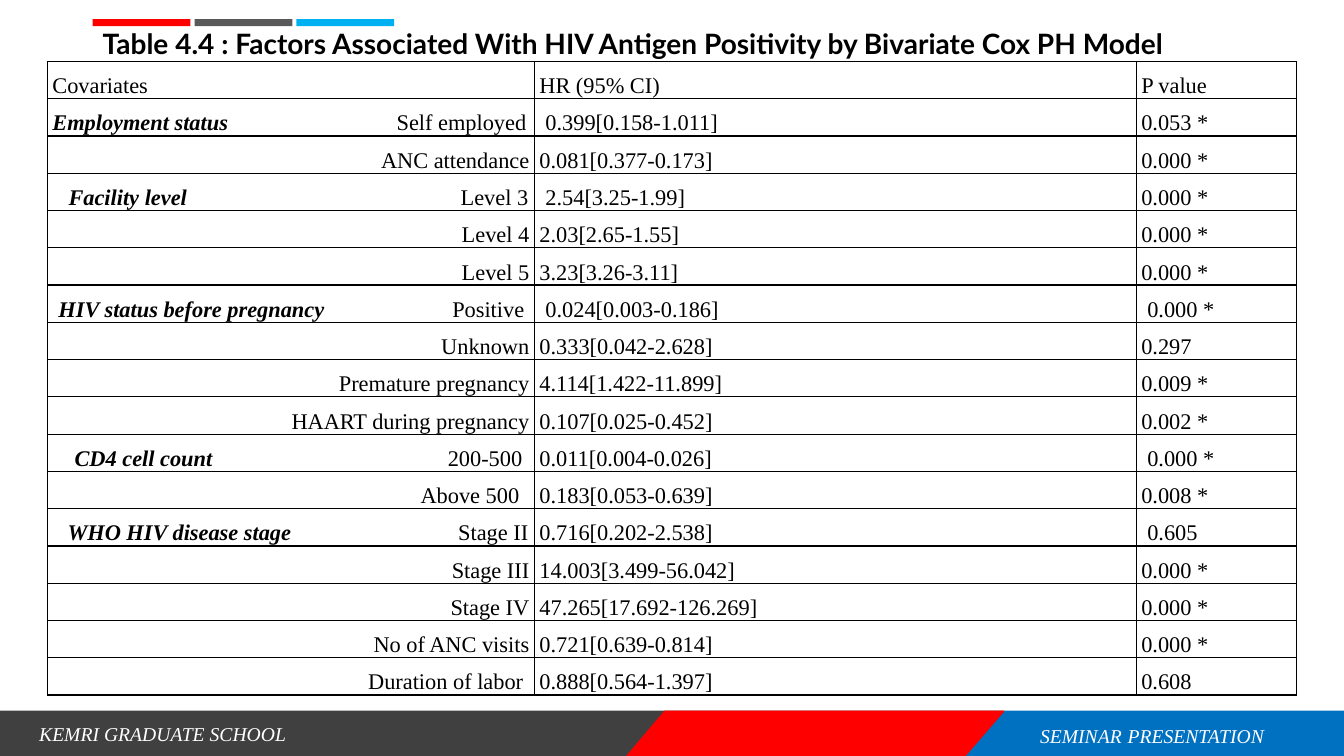
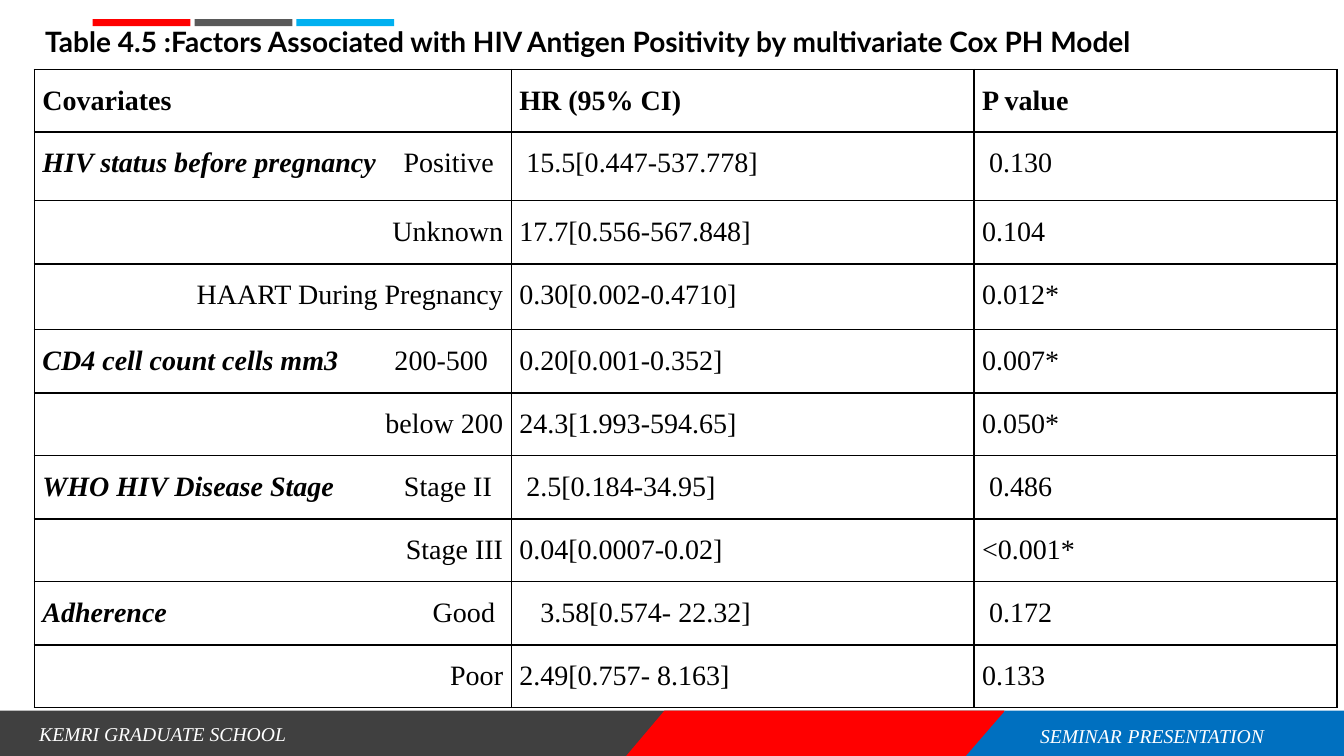
from dataclasses import dataclass

from lxml import etree
from pptx import Presentation
from pptx.dml.color import RGBColor
from pptx.enum import shapes, text
from pptx.oxml import ns
from pptx.util import Inches, Length, Pt


@dataclass(frozen=True)
class Theme:
    ink: str = "000000"
    white: str = "FFFFFF"
    charcoal: str = "404040"
    gray: str = "595959"
    red: str = "FF0000"
    blue: str = "0070C0"
    sky: str = "00B0F0"
    title_font: str = "Lato"
    body_font: str = "Times New Roman"
    space_font: str = "Calibri"
    title_size: int = 20
    footer_size: int = 14
    space_size: int = 18
    border: int = 1


@dataclass
class Row:
    """A covariate level; indents and back (distance from the right) are inches."""
    level: str
    hr: str
    p: str
    group: str = ""
    indent: float = 0
    back: float = 0
    hr_indent: float = 0
    p_indent: float = 0


@dataclass
class TableStyle:
    left: float
    top: float
    widths: tuple
    heights: list
    size: int
    inset: float
    spacing: float | Length
    bold_header: bool = False


class Deck:
    def __init__(self, theme):
        self.theme = theme
        self.prs = Presentation()
        self.prs.slide_width = Inches(13.33)
        self.prs.slide_height = Inches(7.5)
        self.s = None

    def new_slide(self):
        self.s = self.prs.slides.add_slide(self.prs.slide_layouts[6])
        self.footer()
        self.accents()

    def paint(self, sp, color):
        sp.shadow.inherit = False
        sp.fill.solid()
        sp.fill.fore_color.rgb = RGBColor.from_string(color)
        sp.line.fill.background()

    def run(self, p, words, size, font, color, bold=False, italic=False):
        r = p.add_run()
        r.text = words
        r.font.size = Pt(size)
        r.font.name = font
        r.font.bold = bold
        r.font.italic = italic
        r.font.color.rgb = RGBColor.from_string(color)

    def band(self, points, color):
        corners = [(Inches(x), Inches(y)) for x, y in points]
        builder = self.s.shapes.build_freeform(*corners[0], scale=1.0)
        builder.add_line_segments(corners[1:], close=True)
        sp = builder.convert_to_shape()
        self.paint(sp, color)
        return sp

    def text_box(self, left, top, width, height):
        tf = self.s.shapes.add_textbox(
            Inches(left), Inches(top), Inches(width), Inches(height)).text_frame
        tf.word_wrap = True
        return tf

    def footer_run(self, p, words):
        t = self.theme
        self.run(p, words, t.footer_size, t.body_font, t.white, italic=True)

    def footer(self):
        t, top, bottom = self.theme, 7.05, 7.5
        self.band([(0, top), (9.97, top), (9.58, bottom), (0, bottom)], t.charcoal)
        self.band([(6.59, top), (9.96, top), (9.96, bottom), (6.21, bottom)], t.red)
        seminar = self.band(
            [(9.97, top), (13.33, top), (13.33, bottom), (9.58, bottom)], t.blue)
        seminar.text_frame.vertical_anchor = text.MSO_ANCHOR.MIDDLE
        p = seminar.text_frame.paragraphs[0]
        p.alignment = text.PP_ALIGN.CENTER
        for word in ("SEMINAR", "PRESENTATION"):
            self.footer_run(p, word)
            self.run(p, " ", t.space_size, t.space_font, t.white)
        school = self.text_box(0.29, 7.11, 4.59, 0.34)
        self.footer_run(school.paragraphs[0], "KEMRI GRADUATE SCHOOL")

    def accents(self):
        t = self.theme
        for i, color in enumerate((t.red, t.gray, t.sky)):
            sp = self.s.shapes.add_shape(
                shapes.MSO_SHAPE.RECTANGLE, Inches(0.92 + i * 1.01), Inches(0.19),
                Inches(0.97), Inches(0.07))
            self.paint(sp, color)

    def title(self, words, left, top, width, height):
        t = self.theme
        tf = self.text_box(left, top, width, height)
        tf.vertical_anchor = text.MSO_ANCHOR.MIDDLE
        p = tf.paragraphs[0]
        p.line_spacing = 0.9
        self.run(p, words, t.title_size, t.title_font, t.ink, bold=True)

    def borders(self, cell):
        tc_pr = cell._tc.get_or_add_tcPr()
        for i, side in enumerate(("a:lnL", "a:lnR", "a:lnT", "a:lnB")):
            ln = etree.Element(ns.qn(side), w=str(Pt(self.theme.border)))
            fill = etree.SubElement(ln, ns.qn("a:solidFill"))
            etree.SubElement(fill, ns.qn("a:srgbClr"), val=self.theme.ink)
            tc_pr.insert(i, ln)

    def cell(self, cell, style, indent=0, back=0):
        """Format a cell and return its paragraph."""
        cell.fill.background()
        self.borders(cell)
        cell.margin_left = Inches(style.inset + indent)
        cell.margin_right = Inches(style.inset + back)
        cell.margin_top = cell.margin_bottom = 0
        p = cell.text_frame.paragraphs[0]
        p.line_spacing = style.spacing
        return p

    def cell_run(self, p, words, style, bold=False, italic=False):
        t = self.theme
        self.run(p, words, style.size, t.body_font, t.ink, bold, italic)

    def covariate(self, cell, row, style):
        """Group name on the left, level on the right, in one cell."""
        if not row.group:
            p = self.cell(cell, style, back=row.back)
            p.alignment = text.PP_ALIGN.RIGHT
            self.cell_run(p, row.level, style)
            return
        p = self.cell(cell, style, row.indent)
        stop = style.widths[0] - 2 * style.inset - row.indent - row.back
        tabs = etree.SubElement(p._p.get_or_add_pPr(), ns.qn("a:tabLst"))
        etree.SubElement(tabs, ns.qn("a:tab"), pos=str(Inches(stop)), algn="r")
        self.cell_run(p, row.group, style, bold=True, italic=True)
        self.cell_run(p, "\t" + row.level, style)

    def table(self, rows, style):
        frame = self.s.shapes.add_table(
            len(rows) + 1, len(style.widths), Inches(style.left), Inches(style.top),
            Inches(sum(style.widths)), Inches(sum(style.heights)))
        table = frame.table
        table.first_row = table.horz_banding = False
        for column, width in zip(table.columns, style.widths):
            column.width = Inches(width)
        for line, height in zip(table.rows, style.heights):
            line.height = Inches(height)
        for i, heading in enumerate(("Covariates", "HR (95% CI)", "P value")):
            p = self.cell(table.cell(0, i), style)
            self.cell_run(p, heading, style, bold=style.bold_header)
        for i, row in enumerate(rows, 1):
            self.covariate(table.cell(i, 0), row, style)
            values = ((row.hr, row.hr_indent), (row.p, row.p_indent))
            for j, (value, indent) in enumerate(values, 1):
                self.cell_run(self.cell(table.cell(i, j), style, indent), value, style)


BIVARIATE = [
    Row("Self employed", "0.399[0.158-1.011]", "0.053 *", "Employment status",
        back=0.03, hr_indent=0.06),
    Row("ANC attendance", "0.081[0.377-0.173]", "0.000 *"),
    Row("Level 3", "2.54[3.25-1.99]", "0.000 *", "Facility level",
        indent=0.16, back=0.01, hr_indent=0.06),
    Row("Level 4", "2.03[2.65-1.55]", "0.000 *"),
    Row("Level 5", "3.23[3.26-3.11]", "0.000 *"),
    Row("Positive", "0.024[0.003-0.186]", "0.000 *", "HIV status before pregnancy",
        indent=0.06, back=0.05, hr_indent=0.06, p_indent=0.06),
    Row("Unknown", "0.333[0.042-2.628]", "0.297"),
    Row("Premature pregnancy", "4.114[1.422-11.899]", "0.009 *"),
    Row("HAART during pregnancy", "0.107[0.025-0.452]", "0.002 *"),
    Row("200-500", "0.011[0.004-0.026]", "0.000 *", "CD4 cell count",
        indent=0.22, back=0.07, p_indent=0.06),
    Row("Above 500", "0.183[0.053-0.639]", "0.008 *", back=0.1),
    Row("Stage II", "0.716[0.202-2.538]", "0.605", "WHO HIV disease stage",
        indent=0.15, back=0.01, p_indent=0.06),
    Row("Stage III", "14.003[3.499-56.042]", "0.000 *"),
    Row("Stage IV", "47.265[17.692-126.269]", "0.000 *"),
    Row("No of ANC visits", "0.721[0.639-0.814]", "0.000 *"),
    Row("Duration of labor", "0.888[0.564-1.397]", "0.608", back=0.06),
]

MULTIVARIATE = [
    Row("Positive", "15.5[0.447-537.778]", "0.130", "HIV status before pregnancy",
        back=0.09, hr_indent=0.07, p_indent=0.07),
    Row("Unknown", "17.7[0.556-567.848]", "0.104"),
    Row("HAART During Pregnancy", "0.30[0.002-0.4710]", "0.012*"),
    Row("200-500", "0.20[0.001-0.352]", "0.007*", "CD4 cell count cells mm3", back=0.15),
    Row("below 200", "24.3[1.993-594.65]", "0.050*"),
    Row("Stage II", "2.5[0.184-34.95]", "0.486", "WHO HIV Disease Stage",
        back=0.11, hr_indent=0.07, p_indent=0.07),
    Row("Stage III", "0.04[0.0007-0.02]", "<0.001*"),
    Row("Good", "3.58[0.574- 22.32]", "0.172", "Adherence",
        back=0.08, hr_indent=0.21, p_indent=0.07),
    Row("Poor", "2.49[0.757- 8.163]", "0.133"),
]


def main():
    deck = Deck(Theme())

    deck.new_slide()
    deck.title("Table 4.4 : Factors Associated With HIV Antigen Positivity "
               "by Bivariate Cox PH Model", 0.92, 0.15, 11.5, 0.61)
    deck.table(BIVARIATE, TableStyle(
        0.47, 0.61, (4.83, 5.97, 1.59), [0.37] * 17, size=16, inset=0.05,
        spacing=Pt(26.5)))

    deck.new_slide()
    deck.title("Table 4.5 :Factors Associated with HIV Antigen Positivity "
               "by multivariate Cox PH Model", 0.35, 0.18, 12.91, 0.51)
    deck.table(MULTIVARIATE, TableStyle(
        0.34, 0.69, (4.73, 4.59, 3.6), [0.62, 0.68, 0.63, 0.65] + [0.63, 0.62] * 3,
        size=20, inset=0.08, spacing=1.5, bold_header=True))

    deck.prs.save("out.pptx")


if __name__ == "__main__":
    main()
